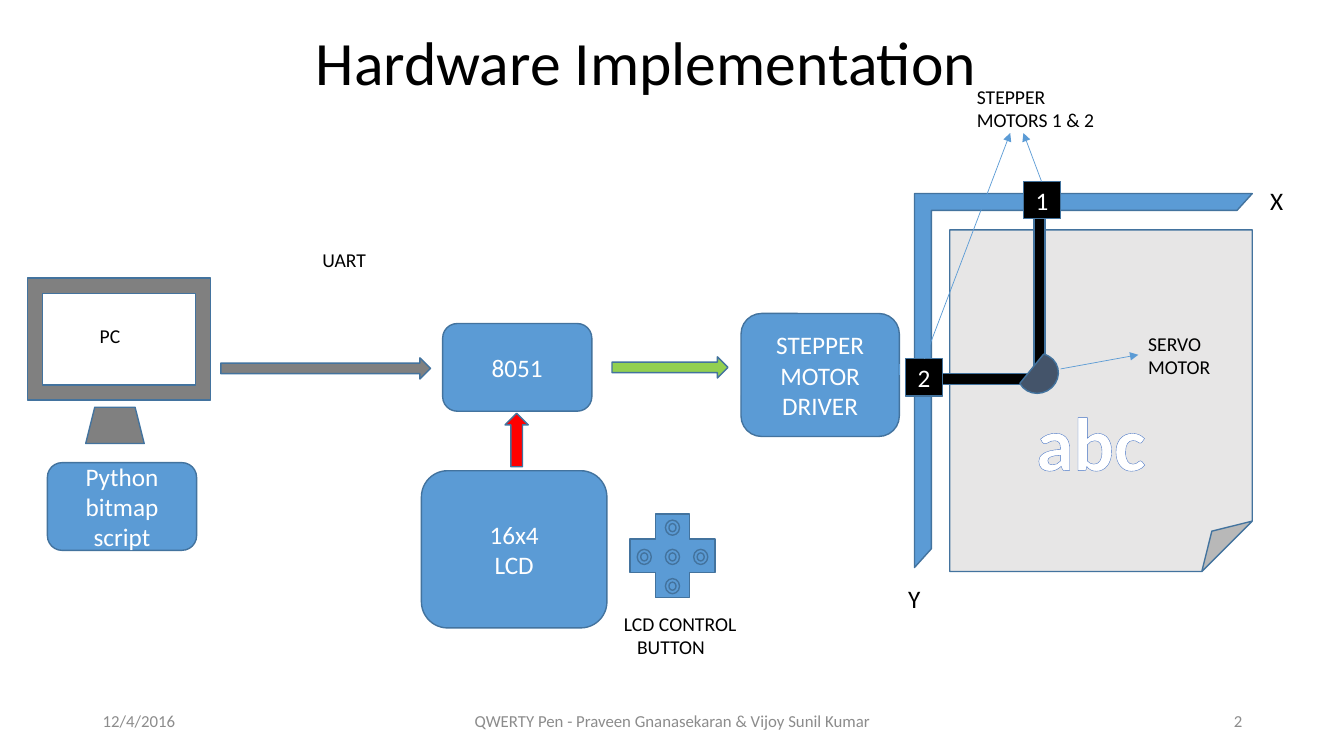
from pptx import Presentation
from pptx.dml.color import RGBColor as RGB
from pptx.enum.dml import MSO_PATTERN as PAT
from pptx.enum.shapes import MSO_CONNECTOR as CON, MSO_SHAPE as S
from pptx.enum.text import MSO_ANCHOR as ANC, PP_ALIGN as AL
from pptx.oxml.ns import qn
from pptx.util import Inches, Pt
from lxml.etree import SubElement as Sub

BLACK, WHITE = RGB(0, 0, 0), RGB(255, 255, 255)
GRAY, FOOT = RGB(0x80, 0x80, 0x80), RGB(0x8C, 0x8C, 0x8C)
BLUE, EDGE = RGB(0x5B, 0x9B, 0xD5), RGB(0x43, 0x73, 0x9E)
GREEN, RED = RGB(0x92, 0xD0, 0x50), RGB(255, 0, 0)
PAPER, SLATE = RGB(0xE7, 0xE6, 0xE6), RGB(0x44, 0x54, 0x6A)
HATCH = RGB(0x8F, 0xAA, 0xDC)
WIDE, HIGH = 13.33, 7.5

TITLE = "Hardware Implementation"
# preset, (left, top, width, height), fill, lines of text, adjustments, rotation
PARTS = [
    (S.ROUNDED_RECTANGLE, (4.18, 4.67, 1.84, 1.56), BLUE, ["16x4", "LCD"], [], 0),
    (S.FRAME, (0.27, 2.76, 1.82, 1.21), GRAY, [], [], 0),
    (S.TRAPEZOID, (0.85, 4.04, 0.58, 0.36), GRAY, [], [], 0),
    (S.CROSS, (6.25, 5.1, 0.84, 0.83), BLUE, [], [0.3], 0),
    (S.HALF_FRAME, (9.07, 1.92, 3.35, 3.71), BLUE, [], [0.05, 0.05], 0),
    (S.FOLDED_CORNER, (9.42, 2.28, 3, 3.39), PAPER, [], [], 0),
    (S.ROUNDED_RECTANGLE, (7.35, 3.11, 1.57, 1.22), BLUE,
     ["STEPPER", "MOTOR", "DRIVER"], [], 0),
    (S.ROUNDED_RECTANGLE, (4.39, 3.21, 1.48, 0.87), BLUE, ["8051"], [], 0),
    (S.RIGHT_ARROW, (2.19, 3.55, 2.08, 0.21), GRAY, [], [], 0),
    (S.RIGHT_ARROW, (6.07, 3.54, 1.15, 0.21), GREEN, [], [], 0),
    (S.CORNER, (8.98, 2.43, 1.67, 1.1), BLACK, [], [0.1, 0.1], 270),
    (S.RECTANGLE, (8.98, 3.56, 0.37, 0.37), BLACK, ["2"], [], 0),
    (S.RECTANGLE, (10.15, 1.8, 0.37, 0.37), BLACK, ["1"], [], 0),
    (S.RIGHT_ARROW, (4.86, 4.25, 0.53, 0.23), RED, [], [], 270),
    (S.CHORD, (10.1, 3.5, 0.39, 0.41), SLATE, [], [], 241.3),
    (S.ROUNDED_RECTANGLE, (0.47, 4.59, 1.48, 0.87), BLUE,
     ["Python bitmap script"], [], 0),
]
PAD = (6.6, 5.45)
STEP = (0.28, 0.29)
KEYS = [(0, 0), (0, -1), (0, 1), (-1, 0), (1, 0)]
LABELS = [
    ("X", (12.5, 1.79, 0.4, 0.4), 18),
    ("Y", (8.91, 5.74, 0.4, 0.4), 18),
    ("UART", (3.1, 2.41, 0.86, 0.34), 14),
    ("PC", (0.89, 3.16, 0.86, 0.34), 14),
    ("STEPPER MOTORS 1 & 2", (9.59, 0.79, 1.47, 0.57), 14),
    ("SERVO MOTOR", (11.29, 3.24, 0.86, 0.57), 14),
]
FOOTER = [
    ("12/4/2016", 0.92, 3, AL.LEFT),
    ("QWERTY Pen - Praveen Gnanasekaran & Vijoy Sunil Kumar", 4.42, 4.5, AL.CENTER),
    ("2", 9.42, 3, AL.RIGHT),
]
# start, end, arrowhead
LINES = [
    ((8.92, 3.72), (8.92, 3.61), False),
    ((9.17, 3.56), (10.02, 1.32), True),
    ((10.33, 1.8), (10.15, 1.32), True),
    ((10.52, 3.66), (11.29, 3.52), True),
]


def place(box):
    return [Inches(n) for n in box]


def write(shape, rows, size, color, align=AL.LEFT, anchor=ANC.TOP):
    frame = shape.text_frame
    frame.word_wrap, frame.vertical_anchor = True, anchor
    for i, row in enumerate(rows):
        para = frame.add_paragraph() if i else frame.paragraphs[0]
        para.alignment = align
        run = para.add_run()
        run.text = row
        for key, val in {"size": Pt(size), "name": "Calibri"}.items():
            setattr(run.font, key, val)
        run.font.color.rgb = color
    return frame


def label(text, box, size, **look):
    return write(slide.shapes.add_textbox(*place(box)), [text], size, BLACK, **look)


def part(kind, box, fill, rows=(), adj=(), turn=0):
    shape = slide.shapes.add_shape(kind, *place(box))
    shape.shadow.inherit = False
    shape.fill.solid()
    shape.fill.fore_color.rgb = fill
    shape.line.color.rgb, shape.line.width = EDGE, Pt(1)
    shape.rotation = turn
    for i, val in enumerate(adj):
        shape.adjustments[i] = val
    if rows:
        write(shape, rows, 18, WHITE, AL.CENTER, ANC.MIDDLE)


def link(start, end, head):
    line = slide.shapes.add_connector(CON.STRAIGHT, *place(start + end))
    line.line.color.rgb, line.line.width = BLUE, Pt(0.5)
    props = line.line._get_or_add_ln()
    if head:
        Sub(props, qn("a:tailEnd"), type="triangle")
    Sub(props.getparent(), qn("a:effectLst"))


def sample(text, box):
    """Hatched, outlined lettering on the paper."""
    frame = label(text, box, 54, align=AL.CENTER)
    frame.word_wrap = False
    font = frame.paragraphs[0].runs[0].font
    font.bold = True
    font.fill.patterned()
    font.fill.pattern = PAT.LIGHT_DOWNWARD_DIAGONAL
    font.fill.fore_color.rgb, font.fill.back_color.rgb = HATCH, WHITE
    props = font._element
    edge = Sub(props, qn("a:ln"), w=str(Pt(1)))
    Sub(Sub(edge, qn("a:solidFill")), qn("a:srgbClr"), val="4472C4")
    props.insert(0, edge)


deck = Presentation()
deck.slide_width, deck.slide_height = place((WIDE, HIGH))
slide = deck.slides.add_slide(deck.slide_layouts[5])

title = slide.shapes.title
title.left, title.top, title.width, title.height = place((0.66, 0.23, 11.5, 0.84))
head = write(title, [TITLE], 44, BLACK, AL.CENTER, ANC.MIDDLE)
head.paragraphs[0].line_spacing = 0.9

for text, left, width, align in FOOTER:
    box = slide.shapes.add_textbox(*place((left, 6.95, width, 0.4)))
    write(box, [text], 12, FOOT, align, ANC.MIDDLE)
for item in PARTS:
    part(*item)
for col, row in KEYS:
    part(S.DONUT, (PAD[0] + col * STEP[0], PAD[1] + row * STEP[1], 0.14, 0.15), BLUE)
for item in LABELS:
    label(*item)
keys = label("LCD CONTROL BUTTON", (6.09, 6.02, 1.35, 0.57), 14)
hang = keys.paragraphs[0]._p.get_or_add_pPr()
hang.set("marL", str(Inches(0.13)))
hang.set("indent", str(-Inches(0.13)))
sample("abc", (10.17, 3.87, 1.3, 1.01))
for item in LINES:
    link(*item)

deck.save("out.pptx")
